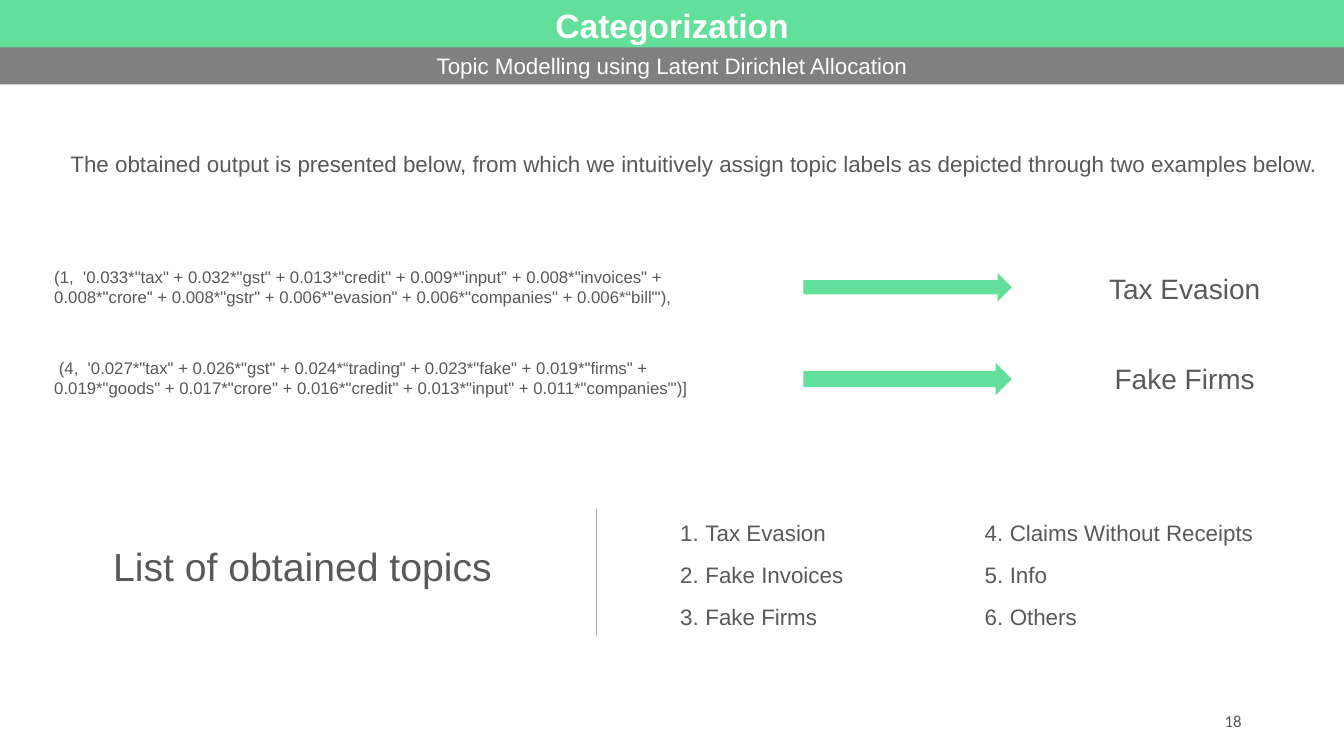
"""Build the Categorization slide about topic modelling."""
from dataclasses import dataclass

from lxml.etree import SubElement
from pptx import Presentation
from pptx.dml.color import RGBColor
from pptx.enum.shapes import MSO_CONNECTOR, MSO_SHAPE
from pptx.enum.text import MSO_ANCHOR, PP_ALIGN
from pptx.oxml.ns import qn
from pptx.shapes.autoshape import Shape
from pptx.slide import Slide
from pptx.util import Pt

COLORS = {"green": "62E09B", "gray": "808080", "white": "FFFFFF", "text": "595959", "line": "A5A5A5"}


@dataclass(frozen=True)
class Box:
    left: float
    top: float
    width: float
    height: float


@dataclass(frozen=True)
class TextStyle:
    size: float
    align: PP_ALIGN = PP_ALIGN.LEFT
    color: str = "text"
    font: str = "Arial"
    bold: bool = False
    line_spacing: float = 1.0
    anchor: MSO_ANCHOR = MSO_ANCHOR.TOP


@dataclass(frozen=True)
class Label:
    box: Box
    lines: tuple[str, ...]
    style: TextStyle


@dataclass(frozen=True)
class Band:
    box: Box
    fill: str
    text: str
    style: TextStyle


@dataclass(frozen=True)
class Example:
    top: float
    words: str
    topic: str
    arrow_top: float
    arrow_height: float


@dataclass(frozen=True)
class TopicColumn:
    left: float
    first_number: int
    topics: tuple[str, ...]


CENTER = PP_ALIGN.CENTER
WORDS_STYLE = TextStyle(12)
TOPIC_STYLE = TextStyle(20, CENTER)
LIST_STYLE = TextStyle(16, line_spacing=1.5)

BANDS = (
    Band(Box(0, 0, 960, 36), "green", "Categorization", TextStyle(24, CENTER, "white", bold=True)),
    Band(Box(0, 33.8, 960, 26.6), "gray", "Topic Modelling using Latent Dirichlet Allocation",
         TextStyle(16, CENTER, "white")),
)
LABELS = (
    Label(Box(678, 500.4, 216, 28.8), ("18",),
          TextStyle(12, PP_ALIGN.RIGHT, font="Calibri", anchor=MSO_ANCHOR.MIDDLE)),
    Label(Box(31.7, 94.3, 928, 32.4),
          ("The obtained output is presented below, from which we intuitively assign topic labels "
           "as depicted through two examples below.",), TextStyle(16, CENTER, line_spacing=1.5)),
    Label(Box(33, 367.2, 366, 51.8), ("List of obtained topics",),
          TextStyle(28, CENTER, line_spacing=1.5)),
)
EXAMPLES = (
    Example(187.2, "(1,  '0.033*\"tax\" + 0.032*\"gst\" + 0.013*\"credit\" + 0.009*\"input\" + "
            "0.008*\"invoices\" + 0.008*\"crore\" + 0.008*\"gstr\" + 0.006*\"evasion\" + "
            "0.006*\"companies\" + 0.006*“bill\"'),", "Tax Evasion", 195.1, 20.2),
    Example(252, " (4,  '0.027*\"tax\" + 0.026*\"gst\" + 0.024*“trading\" + 0.023*\"fake\" + "
            "0.019*\"firms\" + 0.019*\"goods\" + 0.017*\"crore\" + 0.016*\"credit\" + "
            "0.013*\"input\" + 0.011*\"companies\"')]", "Fake Firms", 259.2, 23),
)
TOPIC_COLUMNS = (
    TopicColumn(478.8, 1, ("Tax Evasion", "Fake Invoices", "Fake Firms")),
    TopicColumn(696.2, 4, ("Claims Without Receipts", "Info", "Others")),
)


def write_text(shape: Shape, lines: tuple[str, ...], style: TextStyle) -> None:
    text_frame = shape.text_frame
    text_frame.word_wrap = True
    text_frame.vertical_anchor = style.anchor
    text_frame.text = "\n".join(lines)
    for paragraph in text_frame.paragraphs:
        paragraph.alignment = style.align
        paragraph.line_spacing = style.line_spacing
        for run in paragraph.runs:
            run.font.size = Pt(style.size)
            run.font.name = style.font
            run.font.bold = style.bold
            run.font.color.rgb = RGBColor.from_string(COLORS[style.color])


def add_label(slide: Slide, label: Label) -> Shape:
    box = label.box
    shape = slide.shapes.add_textbox(Pt(box.left), Pt(box.top), Pt(box.width), Pt(box.height))
    write_text(shape, label.lines, label.style)
    return shape


def add_filled_shape(slide: Slide, kind: MSO_SHAPE, box: Box, fill: str) -> Shape:
    shape = slide.shapes.add_shape(kind, Pt(box.left), Pt(box.top), Pt(box.width), Pt(box.height))
    shape.shadow.inherit = False
    shape.fill.solid()
    shape.fill.fore_color.rgb = RGBColor.from_string(COLORS[fill])
    shape.line.fill.background()
    return shape


def add_example(slide: Slide, example: Example) -> None:
    add_label(slide, Label(Box(31.7, example.top, 480.2, 36), (example.words,), WORDS_STYLE))
    arrow_box = Box(573.8, example.arrow_top, 149, example.arrow_height)
    add_filled_shape(slide, MSO_SHAPE.RIGHT_ARROW, arrow_box, "green")
    add_label(slide, Label(Box(764.6, example.top + 2.9, 163.4, 31.7), (example.topic,), TOPIC_STYLE))


def add_topic_column(slide: Slide, column: TopicColumn) -> None:
    shape = add_label(slide, Label(Box(column.left, 357.5, 231.8, 100), column.topics, LIST_STYLE))
    for paragraph in shape.text_frame.paragraphs:
        paragraph.space_after = Pt(1.3)
        properties = paragraph._p.get_or_add_pPr()
        properties.set("marL", str(Pt(18)))
        properties.set("indent", str(-Pt(18)))
        SubElement(properties, qn("a:buFont"), typeface="Arial")
        SubElement(properties, qn("a:buAutoNum"), type="arabicPeriod", startAt=str(column.first_number))


def add_divider(slide: Slide, left: float, top: float, bottom: float) -> None:
    connector = slide.shapes.add_connector(
        MSO_CONNECTOR.STRAIGHT, Pt(left), Pt(top), Pt(left), Pt(bottom))
    connector.line.color.rgb = RGBColor.from_string(COLORS["line"])
    connector.line.width = Pt(0.5)
    SubElement(connector._element.spPr, qn("a:effectLst"))


def main() -> None:
    presentation = Presentation()
    presentation.slide_width = Pt(960)
    presentation.slide_height = Pt(540)
    slide = presentation.slides.add_slide(presentation.slide_layouts[6])
    for band in BANDS:
        shape = add_filled_shape(slide, MSO_SHAPE.RECTANGLE, band.box, band.fill)
        write_text(shape, (band.text,), band.style)
    for label in LABELS:
        add_label(slide, label)
    for example in EXAMPLES:
        add_example(slide, example)
    for column in TOPIC_COLUMNS:
        add_topic_column(slide, column)
    add_divider(slide, 426.2, 363.6, 454.3)
    presentation.save("out.pptx")


if __name__ == "__main__":
    main()
